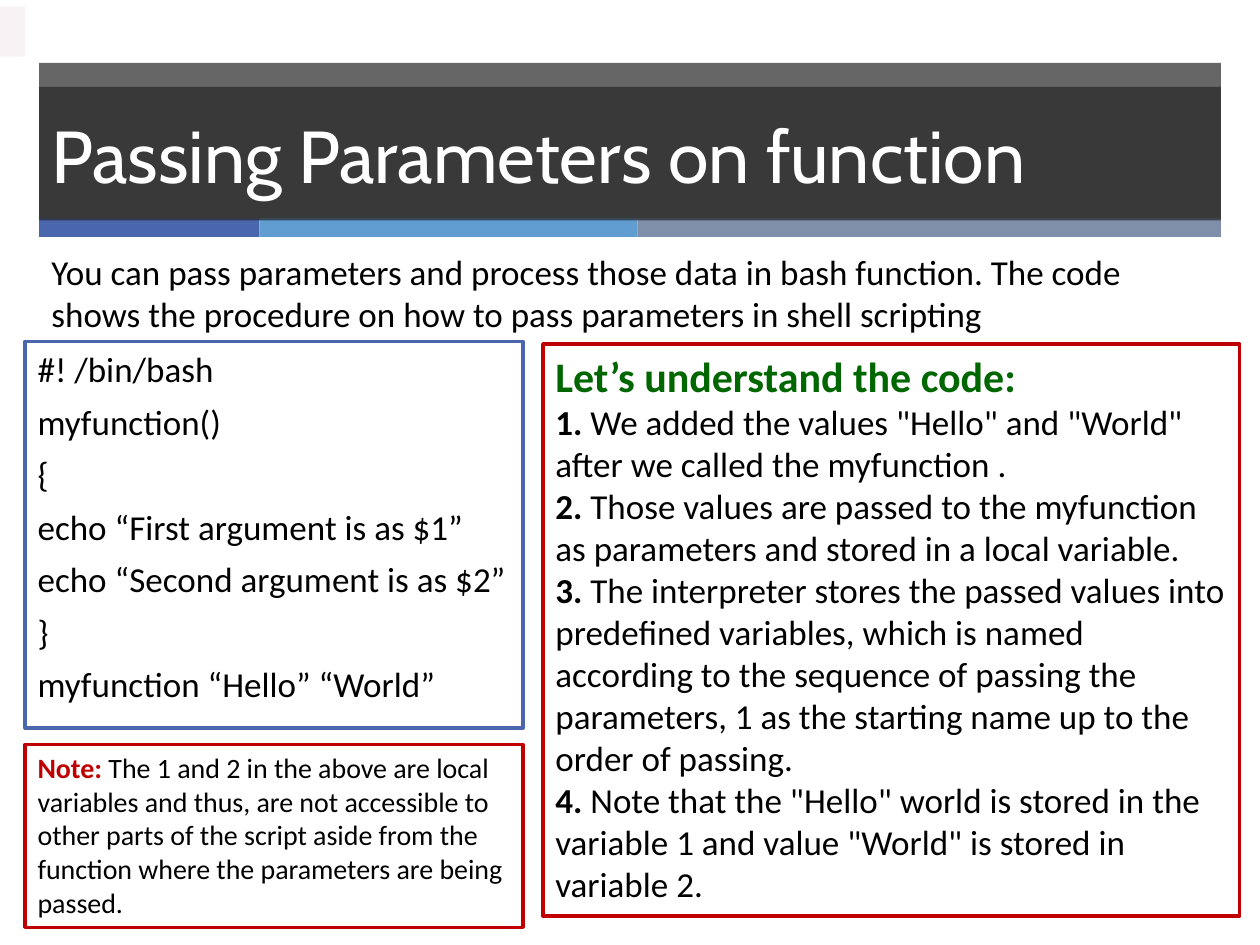
from lxml import etree
from pptx import Presentation
from pptx.dml.color import RGBColor
from pptx.enum.shapes import MSO_SHAPE
from pptx.enum.text import MSO_ANCHOR, MSO_AUTO_SIZE, PP_ALIGN
from pptx.oxml.ns import qn
from pptx.util import Inches, Pt

BLACK, WHITE, CHARCOAL = "000000", "FFFFFF", "262626"
BLUE, RED, GREEN = "4A66AC", "C00000", "006600"

TITLE = "Passing Parameters on function"
INTRO = ("You can pass parameters and process those data in bash function. "
         "The code shows the procedure on how to pass parameters in shell scripting")
CODE = ["#! /bin/bash", "myfunction()", "{", "echo “First argument is as $1”",
        "echo “Second argument is as $2”", "}", "myfunction “Hello” “World”"]
HEADING = "Let’s understand the code:"
STEPS = [
    'We added the values "Hello" and "World" after we called the\u00a0myfunction\u00a0.',
    "Those values are passed to the myfunction as parameters and stored in a local variable.",
    "The interpreter stores the passed values into predefined variables, which is named "
    "according to the sequence of passing the parameters, 1 as the starting name up to "
    "the order of passing.",
    'Note that the "Hello" world is stored in the variable 1 and value "World" is stored '
    "in variable 2.",
]
NOTE = ("Note: ", "The 1 and 2 in the above are local variables and thus, are not accessible "
        "to other parts of the script aside from the function where the parameters are "
        "being passed.")

MARGIN, BANNER_WIDTH = 0.31, 9.38
STRIPS = [(1.75, BLUE), (3, "629DD1"), (4.63, "7F8FA9")]
LEFT_COLUMN, LEFT_WIDTH = 0.2, 3.95


def color(hex_value):
    return RGBColor.from_string(hex_value)


def paint(shape, fill, alpha=None):
    shape.fill.solid()
    shape.fill.fore_color.rgb = color(fill)
    if alpha:
        srgb = shape.fill._xPr.find(".//" + qn("a:srgbClr"))
        etree.SubElement(srgb, qn("a:alpha")).set("val", str(alpha * 1000))


def add_box(place, fill, line=None, alpha=None):
    box = slide.shapes.add_shape(MSO_SHAPE.RECTANGLE, *map(Inches, place))
    box.shadow.inherit = False
    paint(box, fill, alpha)
    if line:
        box.line.color.rgb = color(line)
        box.line.width = Pt(2)
    else:
        box.line.fill.background()
    return box


def write(shape, paragraphs, size, anchor=MSO_ANCHOR.TOP, font="Calibri", before=0):
    """Fill a shape with paragraphs, each a list of (text, format overrides)."""
    frame = shape.text_frame
    for name, value in dict(word_wrap=True, auto_size=MSO_AUTO_SIZE.NONE,
                            vertical_anchor=anchor).items():
        setattr(frame, name, value)
    for index, runs in enumerate(paragraphs):
        paragraph = frame.paragraphs[0] if index == 0 else frame.add_paragraph()
        paragraph.alignment = PP_ALIGN.LEFT
        paragraph.space_before = Pt(before)
        for text, overrides in runs:
            run = paragraph.add_run()
            run.text = text
            look = dict(name=font, size=Pt(size), bold=False, color=BLACK) | overrides
            run.font.color.rgb = color(look.pop("color"))
            for name, value in look.items():
                setattr(run.font, name, value)


def number(paragraph, start):
    props = paragraph._p.get_or_add_pPr()
    props.set("marL", "0")
    props.set("indent", "0")
    numbering = etree.SubElement(props, qn("a:buAutoNum"))
    numbering.set("type", "arabicPeriod")
    numbering.set("startAt", str(start))


deck = Presentation()
deck.slide_width, deck.slide_height = Inches(10), Inches(7.5)
slide = deck.slides.add_slide(deck.slide_layouts[5])

# Banner
add_box((MARGIN, 0.5, BANNER_WIDTH, 1.24), CHARCOAL, alpha=70)
left = MARGIN
for width, fill in STRIPS:
    add_box((left, 1.73, width, 0.15), fill)
    left += width

title = slide.shapes.title
title.left, title.top, title.width, title.height = map(
    Inches, (MARGIN, 0.69, BANNER_WIDTH, 1.06))
paint(title, CHARCOAL, alpha=70)
write(title, [[(TITLE, dict(color=WHITE))]], 42, MSO_ANCHOR.MIDDLE, "Cabin")
slide.shapes._spTree.append(title._element)  # bring in front of the banner

# Content
code = add_box((LEFT_COLUMN, 2.71, LEFT_WIDTH, 3.07), WHITE, BLUE)
write(code, [[(line, {})] for line in CODE], 20, before=6)

intro = slide.shapes.add_textbox(*map(Inches, (MARGIN, 1.94, BANNER_WIDTH, 0.77)))
write(intro, [[(INTRO, {})]], 20)

add_box((0, 0.05, 0.2, 0.4), "F9F2F4")

explanation = add_box((4.31, 2.73, 5.53, 4.54), WHITE, RED)
heading = [(HEADING, dict(size=Pt(24), bold=True, color=GREEN))]
write(explanation, [heading] + [[(" ", dict(bold=True)), (step, {})] for step in STEPS], 20)
for start, paragraph in enumerate(explanation.text_frame.paragraphs[1:], 1):
    number(paragraph, start)

note = add_box((LEFT_COLUMN, 5.91, LEFT_WIDTH, 1.45), WHITE, RED)
label, remark = NOTE
write(note, [[(label, dict(bold=True, color=RED)), (remark, {})]], 16)

deck.save("out.pptx")
